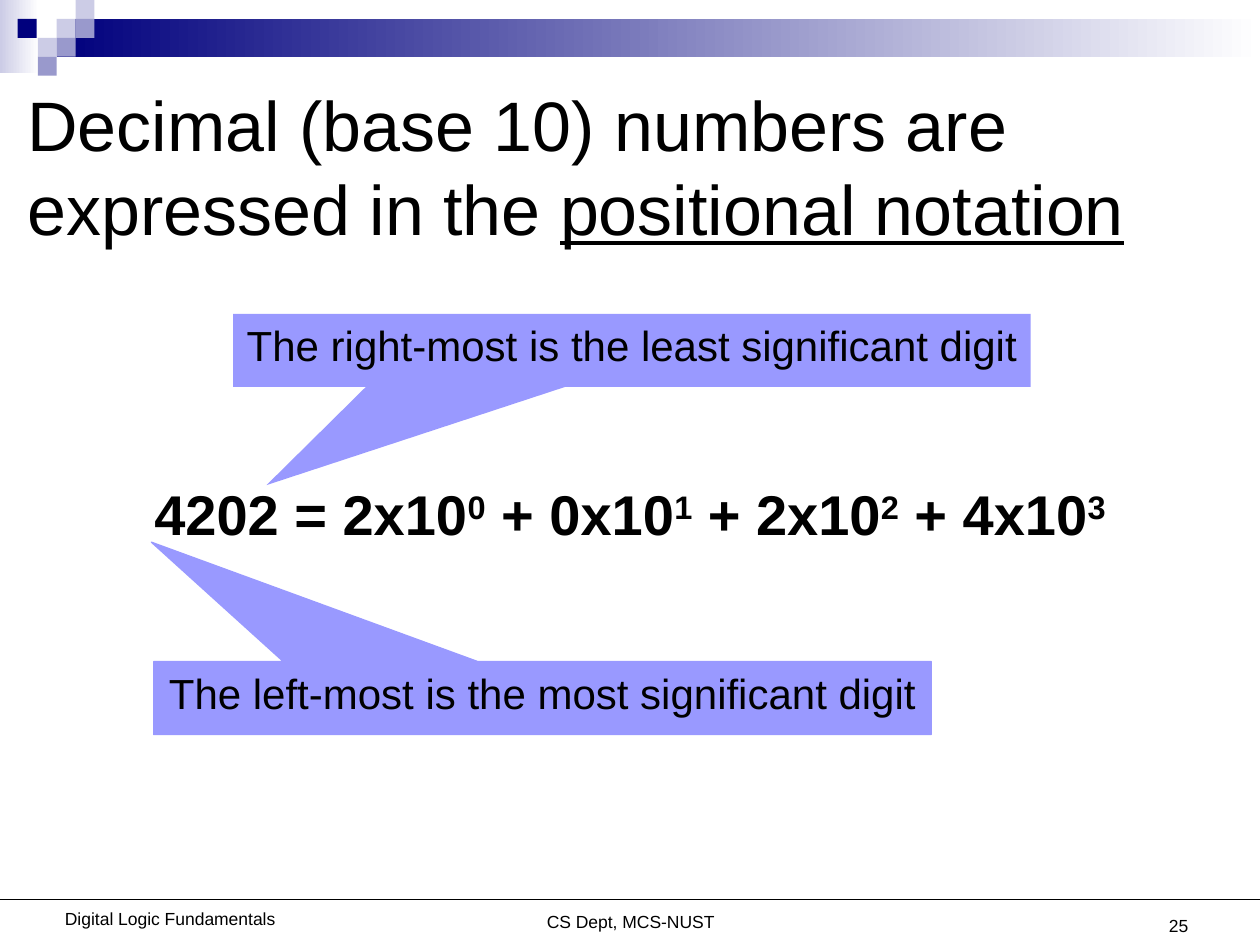
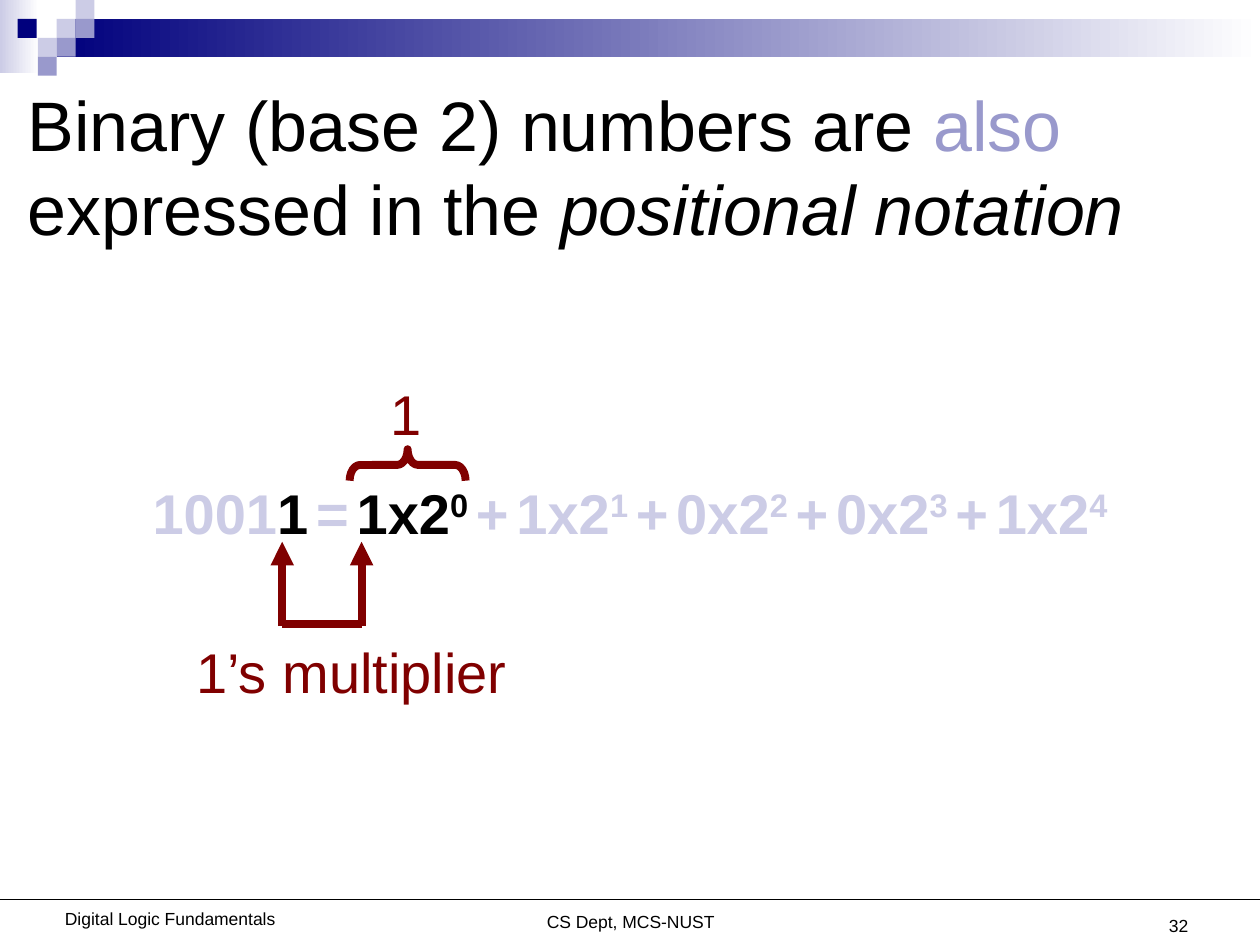
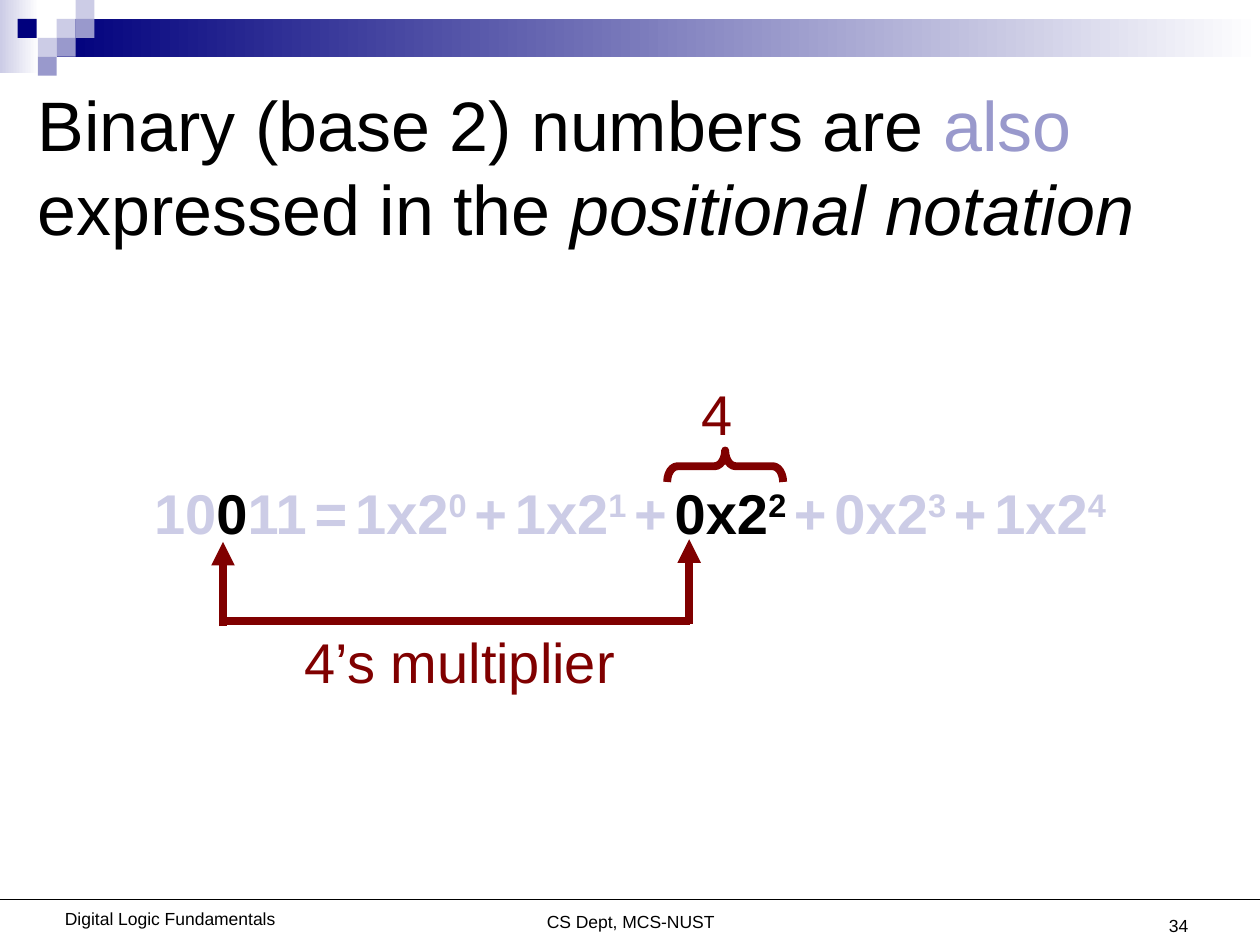
"""Build three slides on positional notation in decimal and binary."""
import dataclasses

import pptx
import pptx.dml.color
import pptx.enum.shapes
import pptx.enum.text
import pptx.oxml.ns
import pptx.util
from lxml import etree

Inches = pptx.util.Inches
Pt = pptx.util.Pt
Shape = pptx.enum.shapes.MSO_SHAPE
Align = pptx.enum.text.PP_ALIGN
Anchor = pptx.enum.text.MSO_ANCHOR


@dataclasses.dataclass(frozen=True)
class Theme:
    font: str = "Arial"
    ink: str = "000000"
    navy: str = "00007D"
    mid: str = "9999CC"
    pale: str = "CCCCE6"
    white: str = "FFFFFF"
    note: str = "9999FF"
    mark: str = "800000"
    title: int = 40
    math: int = 32
    gap: int = 16
    call: int = 24
    foot: int = 10
    thin: float = 0.75
    thick: float = 4.5


T = Theme()
CELL = 0.15
FADES = [((0, 0, 0.31, 0.58), T.pale), ((0.45, 0.15, 9.55, 0.3), T.navy)]
CELLS = [
    (0.45, 1, T.pale), (0.6, 0, T.pale), (0.6, 1, T.mid), (0.3, 2, T.pale),
    (0.14, 1, T.navy), (0.45, 2, T.mid), (0.3, 3, T.mid),
]
FOOTS = [
    ("CS Dept, MCS-NUST", (2.92, 7.18, 4.17, 0.27)),
    ("Digital Logic Fundamentals", (0.35, 7.16, 2, 0.27)),
]
BINARY = [
    ("Binary (base 2) numbers are ", {}),
    ("also", {"color": T.mid}),
    (" expressed in the ", {}),
    ("positional notation", {"italic": True}),
]
SLIDES = [
    {
        "page": "25", "left": 0.12,
        "title": [
            ("Decimal (base 10) numbers are expressed in the ", {}),
            ("positional notation", {"underline": True}),
        ],
        "digits": "4202", "base": 10, "top": 3.76,
        "calls": [
            ("The right-most is the least significant digit",
             (1.85, 2.49, 6.33, 0.58), (-0.458, 1.845), False),
            ("The left-most is the most significant digit",
             (1.22, 5.25, 6.17, 0.58), (-0.503, -2.134), True),
        ],
    },
    {
        "page": "32", "left": 0.12, "title": BINARY,
        "digits": "10011", "base": 2, "top": 3.75, "lit": 0,
        "arrows": [(2.24, 4.97), (2.87, 4.97)], "bar": (2.24, 2.87, 4.95),
        "brace": (3.11, 3.23),
        "labels": [("1’s multiplier", (1.46, 5.01, 2.67, 0.64)),
                   ("1", (3, 2.96, 0.45, 0.64))],
    },
    {
        "page": "34", "left": 0.2, "title": BINARY,
        "digits": "10011", "base": 2, "top": 3.75, "lit": 2,
        "arrows": [(1.77, 4.97), (5.47, 4.95)], "bar": (1.76, 5.48, 4.93),
        "brace": (5.63, 3.24),
        "labels": [("4’s multiplier", (2.32, 4.93, 2.67, 0.64)),
                   ("4", (5.47, 2.96, 0.45, 0.64))],
    },
]


def rgb(code):
    return pptx.dml.color.RGBColor.from_string(code)


def style(run, size, color=T.ink, bold=False, italic=False,
          underline=False, power=False):
    font = run.font
    font.name, font.size, font.color.rgb = T.font, Pt(size), rgb(color)
    font.bold, font.italic, font.underline = bold, italic, underline
    if power:
        run._r.get_or_add_rPr().set("baseline", "30000")


def write(shape, runs, size, align=Align.LEFT, anchor=Anchor.TOP, wrap=True):
    frame = shape.text_frame
    frame.word_wrap, frame.vertical_anchor = wrap, anchor
    para = frame.paragraphs[0]
    para.alignment = align
    for text, look in runs:
        run = para.add_run()
        run.text = text
        style(run, **{"size": size, **look})


def text(slide, box, runs, size, **kind):
    write(slide.shapes.add_textbox(*map(Inches, box)), runs, size, **kind)


def block(slide, kind, box, fill=None, edge=None, width=T.thin):
    shape = slide.shapes.add_shape(kind, *map(Inches, box))
    shape.shadow.inherit = False
    if fill:
        shape.fill.solid()
        shape.fill.fore_color.rgb = rgb(fill)
    else:
        shape.fill.background()
    if edge:
        shape.line.color.rgb = rgb(edge)
        shape.line.width = Pt(width)
    else:
        shape.line.fill.background()
    return shape


def fade(slide, box, color):
    fill = block(slide, Shape.RECTANGLE, box).fill
    fill.gradient()
    fill.gradient_angle = 0
    for stop, code, place in zip(fill.gradient_stops, (color, T.white), (0, 1)):
        stop.color.rgb = rgb(code)
        stop.position = place


def line(slide, start, end, color, width, arrow=False):
    link = slide.shapes.add_connector(
        pptx.enum.shapes.MSO_CONNECTOR.STRAIGHT, *map(Inches, start + end))
    link.line.color.rgb = rgb(color)
    link.line.width = Pt(width)
    if arrow:
        etree.SubElement(link.line._get_or_add_ln(),
                         pptx.oxml.ns.qn("a:tailEnd"), type="triangle")
    etree.SubElement(link._element.spPr, pptx.oxml.ns.qn("a:effectLst"))


def frame(slide, page):
    for box, color in FADES:
        fade(slide, box, color)
    for left, row, color in CELLS:
        block(slide, Shape.RECTANGLE, (left, row * CELL, CELL, CELL), color)
    for words, box in FOOTS:
        text(slide, box, [(words, {})], T.foot, align=Align.CENTER)
    line(slide, (0, 7.14), (10, 7.14), T.ink, T.thin)
    text(slide, (7.2, 6.98, 2.33, 0.5), [(page, {})], T.foot,
         align=Align.RIGHT, anchor=Anchor.BOTTOM)


def expand(digits, base, lit=None):
    plain = lit is None
    gap = (" ", {"size": T.math if plain else T.gap})

    def tone(place):
        return {"color": T.ink if plain or place == lit else T.pale}

    last = len(digits) - 1
    runs = [(digit, tone(last - spot)) for spot, digit in enumerate(digits)]
    for place, digit in enumerate(reversed(digits)):
        look = tone(place)
        runs += [gap, ("+" if place else "=", tone(-1)), gap,
                 (f"{digit}x{base}", look),
                 (str(place), {**look, "power": True})]
    return [(words, {**look, "bold": True}) for words, look in runs]


def draw(slide, data):
    frame(slide, data["page"])
    text(slide, (data["left"], 0.69, 10, 1.25), data["title"], T.title,
         anchor=Anchor.MIDDLE)
    runs = expand(data["digits"], data["base"], data.get("lit"))
    text(slide, (0, data["top"], 10, 0.64), runs, T.math, align=Align.CENTER)
    for words, box, point, edge in data.get("calls", []):
        call = block(slide, Shape.RECTANGULAR_CALLOUT, box, T.note,
                     T.note if edge else None)
        call.adjustments[0], call.adjustments[1] = point
        write(call, [(words, {})], T.call, align=Align.CENTER)
    for x, foot in data.get("arrows", []):
        line(slide, (x, foot), (x, foot - 0.67), T.mark, T.thick, arrow=True)
    if "bar" in data:
        left, right, y = data["bar"]
        line(slide, (left, y), (right, y), T.mark, T.thick)
    if "brace" in data:
        brace = block(slide, Shape.LEFT_BRACE, data["brace"] + (0.25, 0.92),
                      edge=T.mark, width=T.thick)
        brace.rotation = 90
        brace.adjustments[0] = 0.33
    for words, box in data.get("labels", []):
        text(slide, box, [(words, {"color": T.mark})], T.math, wrap=False)


def main():
    deck = pptx.Presentation()
    deck.slide_width, deck.slide_height = Inches(10), Inches(7.5)
    for data in SLIDES:
        draw(deck.slides.add_slide(deck.slide_layouts[6]), data)
    deck.save("out.pptx")


if __name__ == "__main__":
    main()
